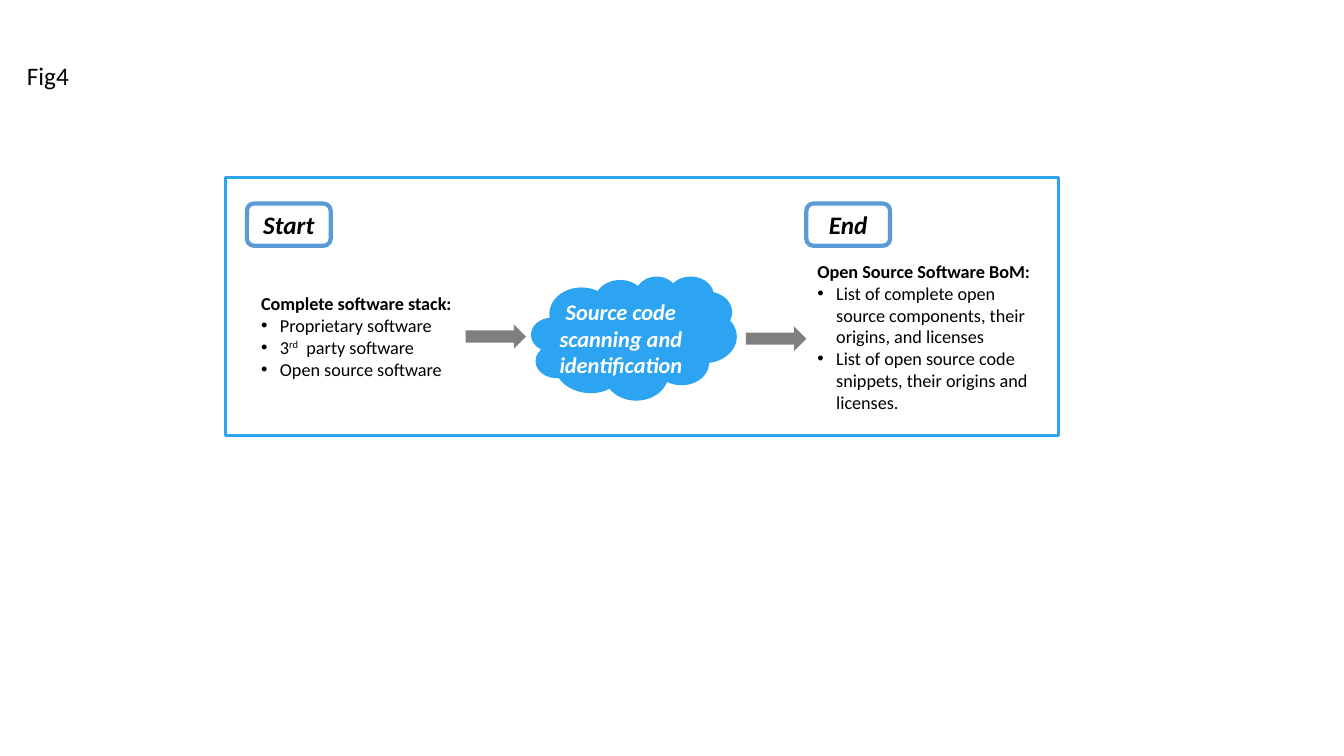
import pptx
import pptx.util
import pptx.dml.color
import pptx.enum.shapes
import pptx.enum.text
import pptx.oxml.ns
import lxml.etree

Pt = pptx.util.Pt
RGB = pptx.dml.color.RGBColor
SHAPE = pptx.enum.shapes.MSO_SHAPE
ALIGN = pptx.enum.text.PP_ALIGN

COLORS = {"blue": "2CA4F2", "badge": "5B9BD5", "arrow": "7F7F7F",
          "black": "000000", "white": "FFFFFF"}


def write(p, text, size=13, color="black", bold=False, italic=False,
          align=ALIGN.LEFT, baseline=0):
    p.alignment = align
    p.space_before = Pt(0)
    r = p.add_run()
    r.text = text
    r.font.name = "Calibri"
    r.font.size = Pt(size)
    r.font.bold = bold
    r.font.italic = italic
    r.font.color.rgb = RGB.from_string(COLORS[color])
    if baseline:
        r._r.get_or_add_rPr().set("baseline", str(baseline))


def place(sp, box, fill=None, line=None, width=0, wrap=True):
    sp.left, sp.top, sp.width, sp.height = [Pt(v) for v in box]
    if fill:
        sp.fill.solid()
        sp.fill.fore_color.rgb = RGB.from_string(COLORS[fill])
    else:
        sp.fill.background()
    if line:
        sp.line.color.rgb = RGB.from_string(COLORS[line])
        sp.line.width = Pt(width)
    else:
        sp.line.fill.background()
    tf = sp.text_frame
    tf.margin_left = tf.margin_right = tf.margin_top = tf.margin_bottom = 0
    tf.auto_size = pptx.enum.text.MSO_AUTO_SIZE.NONE
    tf.vertical_anchor = pptx.enum.text.MSO_ANCHOR.MIDDLE
    tf.word_wrap = wrap
    return tf


prs = pptx.Presentation()
prs.slide_width = Pt(960)
prs.slide_height = Pt(540)
s = prs.slides.add_slide(prs.slide_layouts[3])

tf = place(s.shapes.title, (19.2, 39.6, 44, 29), wrap=False)
write(tf.paragraphs[0], "Fig4", size=18)

lists = [
    (1, (186.5, 201.6, 141, 77), "Complete software stack:",
     [["Proprietary software"],
      ["3", "rd", "  party software"],
      ["Open source software"]]),
    (2, (583.8, 175.7, 156, 129.6), "Open Source Software BoM:",
     [["List of complete open source components, their origins, and licenses"],
      ["List of open source code snippets, their origins and licenses."]]),
]
for idx, box, heading, items in lists:
    tf = place(s.placeholders[idx], box)
    p = tf.paragraphs[0]
    write(p, heading, bold=True)
    pPr = p._p.get_or_add_pPr()
    pPr.set("marL", "0")
    pPr.set("indent", "0")
    lxml.etree.SubElement(pPr, pptx.oxml.ns.qn("a:buNone"))
    for item in items:
        p = tf.add_paragraph()
        for text in item:
            write(p, text, baseline=30000 if text == "rd" else 0)
        pPr = p._p.get_or_add_pPr()
        pPr.set("marL", str(Pt(13.5)))
        pPr.set("indent", str(-Pt(13.5)))
        bu = lxml.etree.SubElement(pPr, pptx.oxml.ns.qn("a:buChar"))
        bu.set("char", "•")

shapes = [
    (SHAPE.RECTANGLE, (161.3, 126.7, 594.7, 184.3), None, "blue", 2.25, ""),
    (SHAPE.CLOUD_CALLOUT, (379.4, 197.3, 146.9, 88.6), "blue", None, 0, ""),
    (SHAPE.RIGHT_ARROW, (332.6, 231.8, 43.2, 17.3), "arrow", None, 0, ""),
    (SHAPE.RIGHT_ARROW, (532.8, 233.3, 43.2, 17.3), "arrow", None, 0, ""),
    (SHAPE.ROUNDED_RECTANGLE, (176.4, 145.4, 59.8, 30.2), None, "badge", 3, "Start"),
    (SHAPE.ROUNDED_RECTANGLE, (576, 145.4, 59.8, 30.2), None, "badge", 3, "End"),
]
for kind, box, fill, line, width, text in shapes:
    sp = s.shapes.add_shape(kind, 0, 0, 0, 0)
    sp.shadow.inherit = False
    tf = place(sp, box, fill, line, width)
    if kind == SHAPE.CLOUD_CALLOUT:
        sp.adjustments[0] = -0.072
        sp.adjustments[1] = 0.05
    if text:
        write(tf.paragraphs[0], text, size=18, bold=True, italic=True,
              align=ALIGN.CENTER)

tf = place(s.shapes.add_textbox(0, 0, 0, 0), (390.5, 205, 106, 73))
write(tf.paragraphs[0], "Source code scanning and identification", size=16,
      color="white", bold=True, italic=True, align=ALIGN.CENTER)

prs.save("out.pptx")
